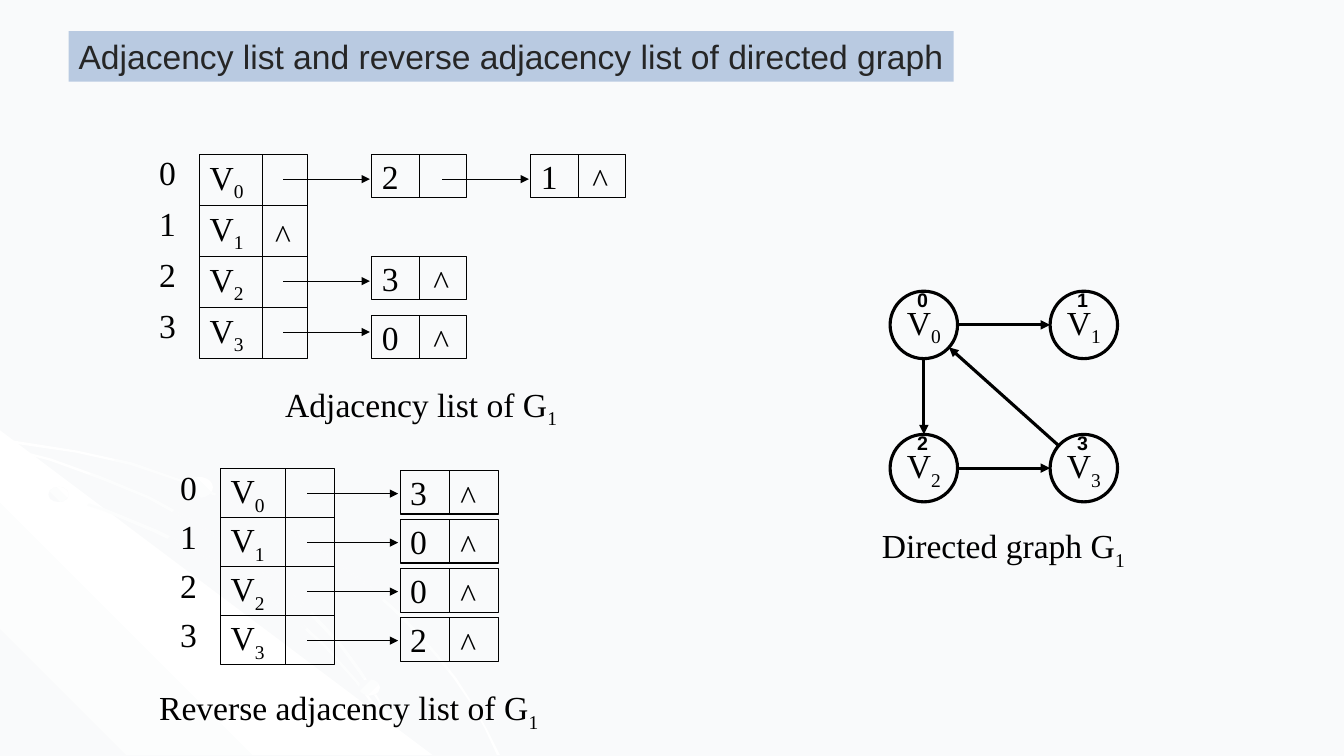
from dataclasses import dataclass
import math

import lxml.etree
import pptx
import pptx.dml.color
import pptx.enum.shapes
import pptx.enum.text
import pptx.oxml.ns
import pptx.util

Pt = pptx.util.Pt
RGB = pptx.dml.color.RGBColor.from_string
qn = pptx.oxml.ns.qn
SHAPE = pptx.enum.shapes.MSO_SHAPE
ALIGN = pptx.enum.text.PP_ALIGN
Point = tuple[float, float]


@dataclass(frozen=True)
class Theme:
    paper: str = "F9FAFB"
    white: str = "FFFFFF"
    ink: str = "000000"
    title_fill: str = "B9CAE1"
    title_ink: str = "262626"
    serif: str = "Times New Roman"
    sans: str = "Arial"
    body: float = 24
    index: float = 14
    thin: float = 0.75
    thick: float = 2.25


@dataclass(frozen=True)
class ListDiagram:
    """Header table with one chain of linked nodes per row."""
    left: float
    top: float
    width: float
    pitch: float
    divider: float
    index_left: float
    index_top: float
    node_left: float
    node_width: float
    nil_shift: float
    arrow_left: float
    arrow_length: float
    chains: tuple[tuple[str, ...], ...]
    node_drops: tuple[float, ...]


@dataclass(frozen=True)
class Caption:
    text: str
    left: float
    top: float
    width: float


T = Theme()
NODE_HEIGHT, NODE_PITCH, BOX_HEIGHT = 31, 113.6, 36
DIAGRAMS = (
    ListDiagram(142.6, 110.2, 77, 36.4, 44.6, 106.6, 105.1, 265.7, 67.7, 36.7, 202.3, 61.9,
                (("2", "1"), (), ("3",), ("0",)), (0, 0, 0, 5.8)),
    ListDiagram(157.7, 334.8, 81.4, 35, 46.1, 121.7, 329.8, 285.8, 70.6, 36, 219.6, 64.8,
                (("3",), ("0",), ("0",), ("2",)), (1.4,) * 4),
)
CAPTIONS = (
    Caption("Adjacency list of G", 196.6, 270.7, 209.5),
    Caption("Reverse adjacency list of G", 106.6, 487.4, 285.8),
    Caption("Directed graph G", 622.8, 371.5, 188.6),
)
EDGES = ((0, 1), (0, 2), (2, 3), (3, 0))
GRAPH_LEFT, GRAPH_TOP, VERTEX_SIZE, COLUMN_GAP, ROW_GAP = 635.8, 208, 48.2, 114.3, 102.3

# Background ribbons: out along one edge, back along the other
RIBBONS: tuple[tuple[Point, ...], ...] = (
    ((0, 313.2), (54.7, 321.8), (94.3, 330.5), (131, 343.4), (167, 357.8), (200.9, 375.1),
     (231.8, 394.6), (261.4, 416.2), (288, 439.9), (311.8, 466.6), (326.2, 484.6),
     (337.7, 502.6), (347.8, 520.6), (357.1, 539.3), (355, 539.3), (346.3, 520.6),
     (336.2, 502.6), (324, 484.6), (310.3, 467.3), (285.8, 440.6), (259.9, 416.9),
     (231.1, 395.3), (200.2, 376.6), (166.3, 359.3), (129.6, 344.2), (92.9, 331.9),
     (54, 323.3), (0, 315.4)),
    ((0, 342), (38.9, 351.4), (75.6, 363.6), (112.3, 378.7), (146.2, 395.3), (177.1, 414.7),
     (205.9, 436.3), (232.6, 460.8), (255.6, 486.7), (275, 512.6), (283.7, 525.6),
     (290.9, 539.3), (288.7, 539.3), (282.2, 527), (273.6, 514.1), (254.2, 487.4),
     (231.1, 461.5), (204.5, 437.8), (175.7, 416.2), (144, 396.7), (110.2, 380.2),
     (74.2, 365), (36.7, 352.8), (0, 343.4)),
    ((0, 318.2), (36.7, 327.6), (72.7, 340.6), (107.3, 355), (137.5, 371.5), (167.8, 391),
     (195.8, 412.6), (220.3, 434.2), (244.1, 460.1), (257.8, 478.8), (270.7, 499),
     (281.5, 518.4), (290.9, 539.3), (288.7, 539.3), (280.1, 519.8), (269.3, 499.7),
     (256.3, 480.2), (242.6, 461.5), (218.2, 435.6), (193.7, 414), (166.3, 391.7),
     (136.1, 373), (105.1, 355.7), (71.3, 342), (35.3, 329), (0, 319.7)),
)
BEAM: tuple[Point, ...] = ((0, 307.4), (308.9, 539.3), (0, 539.3))
DOTS = ((34.6, 347.8, 14.4, 10.8, 45), (256.3, 485.3, 15.1, 11.5, 315),
        (131.8, 340.6, 20.2, 15.1, 45))


def paint_gradient(sp, colors: tuple[str, ...], angle: float) -> None:
    sp.shadow.inherit = False
    sp.line.fill.background()
    sp.fill.gradient()
    sp.fill.gradient_angle = angle
    stops = sp._element.spPr.find(".//" + qn("a:gsLst"))
    stops.clear()
    for i, color in enumerate(colors):
        stop = lxml.etree.SubElement(stops, qn("a:gs"), pos=str(i * 100000 // (len(colors) - 1)))
        lxml.etree.SubElement(stop, qn("a:srgbClr"), val=color)


def add_outline(s, points: tuple[Point, ...], colors: tuple[str, ...], angle: float) -> None:
    tenths = [(round(x * 10), round(y * 10)) for x, y in points]
    builder = s.shapes.build_freeform(*tenths[0], scale=Pt(1) / 10)
    builder.add_line_segments(tenths[1:], close=True)
    paint_gradient(builder.convert_to_shape(), colors, angle)


def write(sp, text: str, sub: str = "", font: str = T.serif, size: float = T.body,
          color: str = T.ink, bold: bool = False, align=ALIGN.LEFT, wrap: bool = False,
          grow: bool = True) -> None:
    tf = sp.text_frame
    tf.word_wrap = wrap
    if grow:
        tf.auto_size = pptx.enum.text.MSO_AUTO_SIZE.SHAPE_TO_FIT_TEXT
    tf.vertical_anchor = (pptx.enum.text.MSO_ANCHOR.TOP if grow
                          else pptx.enum.text.MSO_ANCHOR.MIDDLE)
    p = tf.paragraphs[0]
    p.alignment = align
    for part, baseline in ((text, None), (sub, "-25000")):
        if not part:
            continue
        r = p.add_run()
        r.text = part
        r.font.name, r.font.size, r.font.bold = font, Pt(size), bold
        r.font.color.rgb = RGB(color)
        if baseline:
            r._r.get_or_add_rPr().set("baseline", baseline)


def add_label(s, text: str, x: float, y: float, w: float, h: float = BOX_HEIGHT, **style) -> None:
    write(s.shapes.add_textbox(Pt(x), Pt(y), Pt(w), Pt(h)), text, **style)


def add_outlined(s, kind, x: float, y: float, w: float, h: float, weight: float,
                 text: str, sub: str = "", align=ALIGN.LEFT) -> None:
    sp = s.shapes.add_shape(kind, Pt(x), Pt(y), Pt(w), Pt(h))
    sp.shadow.inherit = False
    sp.fill.background()
    sp.line.color.rgb, sp.line.width = RGB(T.ink), Pt(weight)
    write(sp, text, sub, align=align, grow=False)


def add_line(s, start: Point, end: Point, weight: float = T.thin, arrow: bool = False) -> None:
    line = s.shapes.add_connector(pptx.enum.shapes.MSO_CONNECTOR.STRAIGHT,
                                  *(Pt(v) for v in start + end))
    line.line.color.rgb, line.line.width = RGB(T.ink), Pt(weight)
    if arrow:
        lxml.etree.SubElement(line.line._get_or_add_ln(), qn("a:tailEnd"), type="triangle")
    lxml.etree.SubElement(line._element.spPr, qn("a:effectLst"))


def add_cell(s, x: float, y: float, w: float, h: float, divider: float,
             text: str, sub: str = "") -> None:
    add_outlined(s, SHAPE.RECTANGLE, x, y, w, h, T.thin, text, sub)
    add_line(s, (x + divider, y), (x + divider, y + h))


def draw_list(s, d: ListDiagram) -> None:
    for row, chain in enumerate(d.chains):
        y = d.top + row * d.pitch
        add_label(s, str(row), d.index_left, d.index_top + row * d.pitch, 28, wrap=True)
        add_cell(s, d.left, y, d.width, d.pitch, d.divider, "V", str(row))
        if not chain:
            add_label(s, "^", d.left + d.divider + 2.2, y + 3.6, 27, wrap=True)
        for i, value in enumerate(chain):
            x, node_y = d.node_left + i * NODE_PITCH, y + d.node_drops[row]
            arrow_x, arrow_y = d.arrow_left + i * NODE_PITCH, y + 17.8
            add_cell(s, x, node_y, d.node_width, NODE_HEIGHT, d.node_width / 2, value)
            add_line(s, (arrow_x, arrow_y), (arrow_x + d.arrow_length, arrow_y), arrow=True)
        if chain:
            add_label(s, "^", x + d.nil_shift, node_y, 27, wrap=True)


def draw_graph(s) -> None:
    corners = [(GRAPH_LEFT + v % 2 * COLUMN_GAP, GRAPH_TOP + v // 2 * ROW_GAP) for v in range(4)]
    for v, (x, y) in enumerate(corners):
        add_outlined(s, SHAPE.OVAL, x, y, VERTEX_SIZE, VERTEX_SIZE, T.thick,
                     "V", str(v), ALIGN.CENTER)
        add_label(s, str(v), x + 12.2, y - 5.8, 22.3, 24.5, font=T.sans, size=T.index, bold=True)
    radius = VERTEX_SIZE / 2
    for a, b in EDGES:
        (ax, ay), (bx, by) = ((x + radius, y + radius) for x, y in (corners[a], corners[b]))
        reach = radius / math.hypot(bx - ax, by - ay)
        dx, dy = (bx - ax) * reach, (by - ay) * reach
        add_line(s, (ax + dx, ay + dy), (bx - dx, by - dy), T.thick, arrow=True)


def main() -> None:
    prs = pptx.Presentation()
    prs.slide_width, prs.slide_height = Pt(960), Pt(540)
    s = prs.slides.add_slide(prs.slide_layouts[6])

    # Background
    s.background.fill.solid()
    s.background.fill.fore_color.rgb = RGB(T.paper)
    add_outline(s, BEAM, (T.paper, T.white, T.paper), 45)
    for ribbon in RIBBONS:
        add_outline(s, ribbon, (T.white, T.paper, T.white), 315)
    for x, y, w, h, angle in DOTS:
        dot = s.shapes.add_shape(SHAPE.OVAL, Pt(x), Pt(y), Pt(w), Pt(h))
        paint_gradient(dot, (T.paper, T.white), angle)

    # Title
    title = s.shapes.add_shape(SHAPE.RECTANGLE, Pt(49), Pt(22.3), Pt(632.2), Pt(BOX_HEIGHT))
    title.shadow.inherit = False
    title.fill.solid()
    title.fill.fore_color.rgb = RGB(T.title_fill)
    title.line.fill.background()
    write(title, "Adjacency list and reverse adjacency list of directed graph",
          font=T.sans, color=T.title_ink)

    # Lists, graph and captions
    for diagram in DIAGRAMS:
        draw_list(s, diagram)
    draw_graph(s)
    for c in CAPTIONS:
        add_label(s, c.text, c.left, c.top, c.width, sub="1")

    prs.save("out.pptx")


if __name__ == "__main__":
    main()
